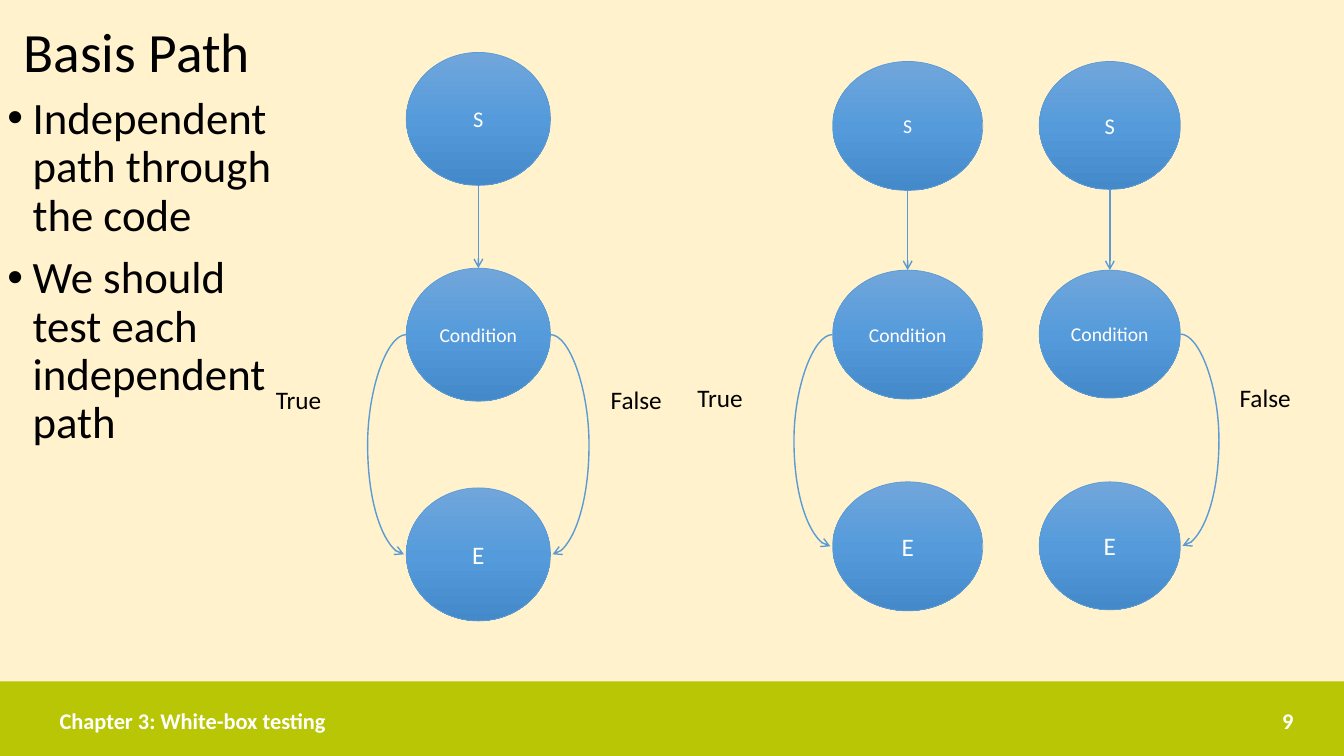
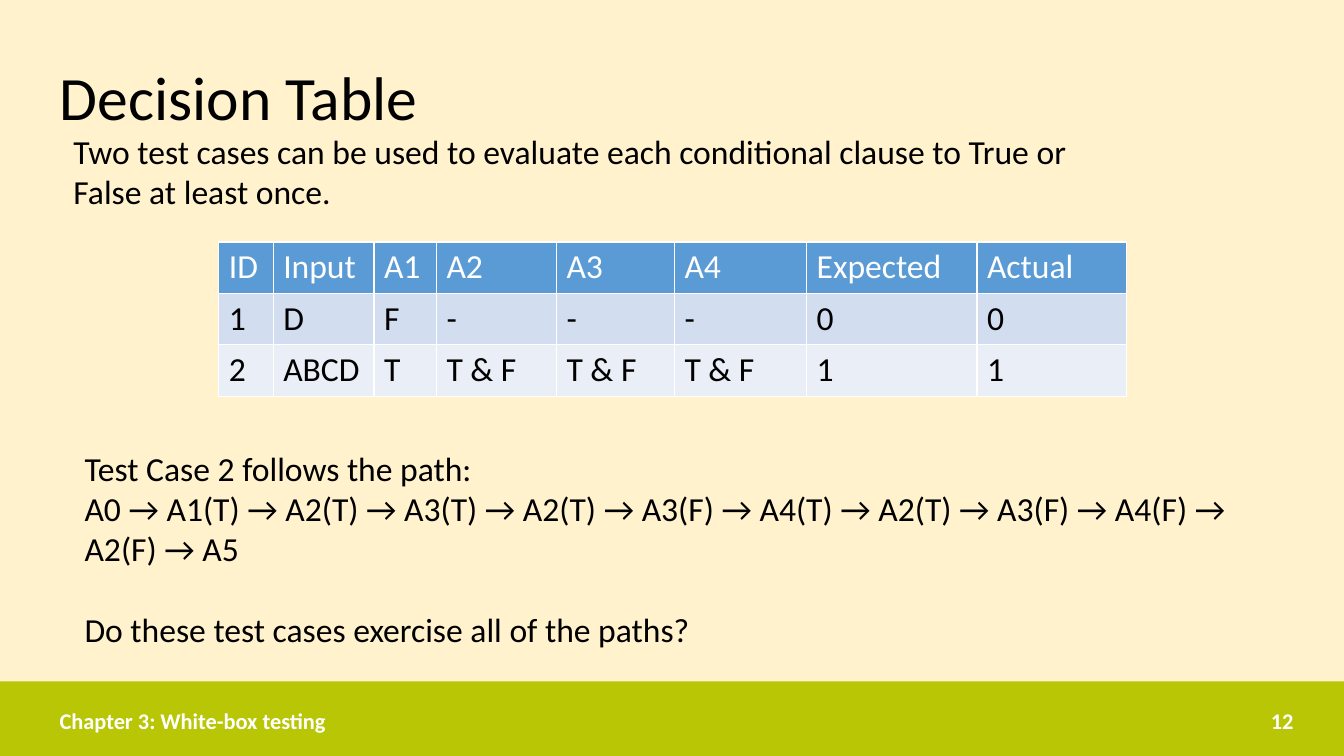
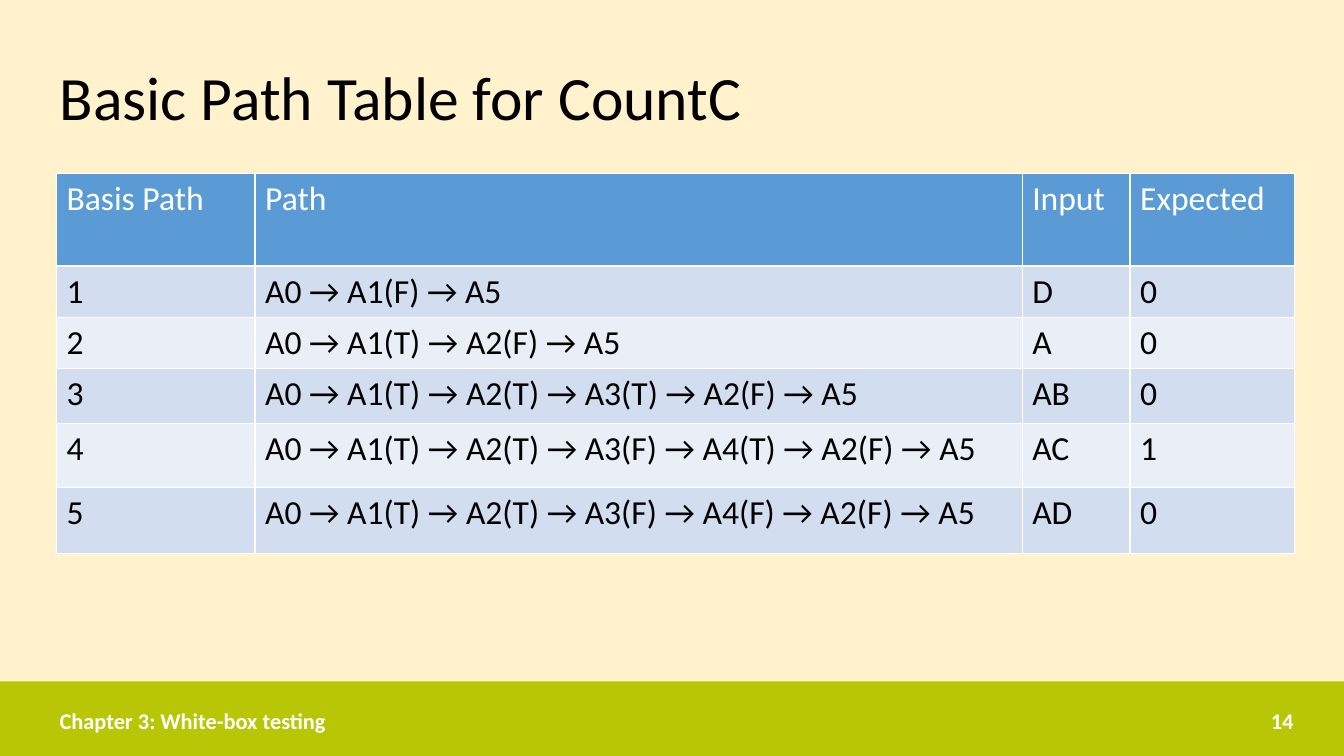
"""Builds three slides on white-box testing: flow graphs, a decision table and a path table."""
import copy
from dataclasses import dataclass
from typing import Any, Optional

import lxml.etree as etree
import pptx
import pptx.dml.color
import pptx.enum.shapes
import pptx.enum.text
import pptx.oxml.ns
import pptx.util

WIDE = pptx.util.Inches(13.333)
HIGH = pptx.util.Inches(7.5)
FONT = "Calibri"
HUES = {
    "page": "FFF2CC", "band": "B8C605", "text": "000000", "white": "FFFFFF",
    "line": "5B9BD5", "head": "5B9BD5", "odd": "D2DEEF", "even": "EAEFF7",
    "light": "71A6DB", "mid": "559BDB", "deep": "448ACA",
}
FADE = ((0, "light"), (0.5, "mid"), (1, "deep"))
LEFT = pptx.enum.text.PP_ALIGN.LEFT
MID = pptx.enum.text.PP_ALIGN.CENTER
RIGHT = pptx.enum.text.PP_ALIGN.RIGHT
CENTRE = pptx.enum.text.MSO_ANCHOR.MIDDLE
SHAPES = pptx.enum.shapes.MSO_SHAPE
LINKS = pptx.enum.shapes.MSO_CONNECTOR


@dataclass(frozen=True)
class Box:
    """A place in percent of the slide's width and height."""
    left: float
    top: float
    width: float
    height: float

    def spans(self) -> tuple[int, int, int, int]:
        """Give the place in slide units."""
        return across(self.left), down(self.top), across(self.width), down(self.height)


@dataclass(frozen=True)
class Flow:
    """One flow graph: a column of three nodes and its branches."""
    left: float
    width: float
    height: float
    tops: tuple[float, float, float]
    start: int
    label: float
    true: Optional[float] = None
    false: Optional[float] = None


@dataclass(frozen=True)
class Grid:
    """A table with its column widths and row heights in percent."""
    left: float
    top: float
    cols: tuple[float, ...]
    rows: tuple[float, ...]
    cells: tuple[tuple[str, ...], ...]


TITLE = Box(3.7, 3.6, 93.2, 19.33)
FLOWS = (
    Flow(30.23, 10.73, 17.6, (6.93, 35.47, 64.53), 16, 50.13, 19.8, 44.7),
    Flow(61.95, 11.17, 17.07, (8.13, 35.73, 63.73), 14, 49.87, true=51.15),
    Flow(77.33, 10.5, 16.93, (8.13, 35.73, 63.73), 16, 49.87, false=91.5),
)
CASES = Grid(
    16.28, 32, (4.05, 7.5, 4.65, 8.93, 8.78, 9.83, 12.68, 11.1), (6.8,) * 3,
    (("ID", "Input", "A1", "A2", "A3", "A4", "Expected", "Actual"),
     ("1", "D", "F", "-", "-", "-", "0", "0"),
     ("2", "ABCD", "T", "T & F", "T & F", "T & F", "1", "1")))
PATHS = Grid(
    4.2, 22.93, (14.78, 57.08, 8.03, 12.23), (12.27, 6.8, 6.8, 7.2, 8.53, 8.67),
    (("Basis Path", "Path", "Input", "Expected"),
     ("1", "A0 → A1(F) → A5", "D", "0"),
     ("2", "A0 → A1(T) → A2(F) → A5", "A", "0"),
     ("3", "A0 → A1(T) → A2(T) → A3(T) → A2(F) → A5", "AB", "0"),
     ("4", "A0 → A1(T) → A2(T) → A3(F) → A4(T) → A2(F) → A5", "AC", "1"),
     ("5", "A0 → A1(T) → A2(T) → A3(F) → A4(F) → A2(F) → A5", "AD", "0")))


def across(share: float) -> int:
    """Turn a percent of the width into a length."""
    return round(WIDE * share / 100)


def down(share: float) -> int:
    """Turn a percent of the height into a length."""
    return round(HIGH * share / 100)


def paint(name: str) -> pptx.dml.color.RGBColor:
    """Look up a colour."""
    return pptx.dml.color.RGBColor.from_string(HUES[name])


def tag(root: Any, kind: str, **marks: str) -> Any:
    """Add a drawing element under a root."""
    return etree.SubElement(root, pptx.oxml.ns.qn(kind), marks)


def style(para: Any, size: float, hue: str = "text", bold: bool = False,
          align: Any = LEFT) -> None:
    """Format a paragraph and its runs."""
    para.alignment = align
    for run in para.runs:
        run.font.name = FONT
        run.font.size = pptx.util.Pt(size)
        run.font.bold = bold
        run.font.color.rgb = paint(hue)


def write(slide: Any, box: Box, lines: tuple[str, ...], size: float, hue: str = "text",
          bold: bool = False, align: Any = LEFT) -> Any:
    """Add a text box and return its frame."""
    frame = slide.shapes.add_textbox(*box.spans()).text_frame
    frame.word_wrap = True
    frame.text = "\n".join(lines)
    for para in frame.paragraphs:
        style(para, size, hue, bold, align)
    return frame


def place(holder: Any, box: Box, lines: tuple[str, ...], size: float) -> Any:
    """Move and fill a placeholder and return its frame."""
    holder.left, holder.top, holder.width, holder.height = box.spans()
    frame = holder.text_frame
    frame.text = "\n".join(lines)
    frame.auto_size = pptx.enum.text.MSO_AUTO_SIZE.NONE
    for para in frame.paragraphs:
        para.line_spacing = 0.9
        para.space_before = pptx.util.Pt(0)
        style(para, size)
    return frame


def begin(deck: Any, layout: int, title: str, page: int, box: Box = TITLE,
          size: float = 44) -> Any:
    """Add a slide with its title, band and footer."""
    slide = deck.slides.add_slide(deck.slide_layouts[layout])
    place(slide.shapes.title, box, (title,), size).vertical_anchor = CENTRE
    band = slide.shapes.add_shape(SHAPES.RECTANGLE, *Box(0, 90.13, 100, 9.87).spans())
    band.shadow.inherit = False
    band.fill.solid()
    band.fill.fore_color.rgb = paint("band")
    band.line.fill.background()
    for left, width, text, align in ((3.7, 46.4, "Chapter 3: White-box testing", LEFT),
                                     (70.65, 26.33, str(page), RIGHT)):
        foot = write(slide, Box(left, 92.67, width, 5.33), (text,), 16, "white", True, align)
        foot.vertical_anchor = CENTRE
    return slide


def node(slide: Any, box: Box, text: str, size: float) -> None:
    """Draw a shaded round node."""
    oval = slide.shapes.add_shape(SHAPES.OVAL, *box.spans())
    oval.shadow.inherit = False
    oval.fill.gradient()
    oval.fill.gradient_angle = 270
    first = oval._element.spPr.find(".//" + pptx.oxml.ns.qn("a:gs"))
    first.addnext(copy.deepcopy(first))
    for stop, (spot, hue) in zip(oval.fill.gradient_stops, FADE):
        stop.position = spot
        stop.color.rgb = paint(hue)
    oval.line.color.rgb = paint("line")
    oval.line.width = pptx.util.Pt(0.5)
    frame = oval.text_frame
    frame.word_wrap = False
    frame.vertical_anchor = CENTRE
    frame.text = text
    style(frame.paragraphs[0], size, "white", align=MID)


def arrow(slide: Any, kind: Any, start: tuple[float, float], end: tuple[float, float],
          bend: int = 0) -> None:
    """Draw an arrow, curved outward when a bend is given."""
    link = slide.shapes.add_connector(kind, across(start[0]), down(start[1]),
                                      across(end[0]), down(end[1]))
    link.line.color.rgb = paint("line")
    link.line.width = pptx.util.Pt(1)
    props = link._element.spPr
    tag(props.find(pptx.oxml.ns.qn("a:ln")), "a:tailEnd", type="arrow")
    tag(props, "a:effectLst")
    if bend:
        shape = props.find(pptx.oxml.ns.qn("a:prstGeom"))
        guides = shape.find(pptx.oxml.ns.qn("a:avLst"))
        if guides is None:
            guides = tag(shape, "a:avLst")
        tag(guides, "a:gd", name="adj1", fmla=f"val {bend}")


def draw(slide: Any, flow: Flow) -> None:
    """Draw one flow graph."""
    for top, text, size in zip(flow.tops, ("S", "Condition", "E"), (flow.start, 14, 18)):
        node(slide, Box(flow.left, top, flow.width, flow.height), text, size)
    middle = flow.left + flow.width / 2
    arrow(slide, LINKS.STRAIGHT, (middle, flow.tops[0] + flow.height), (middle, flow.tops[1]))
    high, low = (top + flow.height / 2 for top in flow.tops[1:])
    for text, spot, side, way in (("True", flow.true, flow.left, -1),
                                  ("False", flow.false, flow.left + flow.width, 1)):
        if spot is not None:
            arrow(slide, LINKS.CURVE, (side, high), (side + way * 0.16, low), 1800000)
            write(slide, Box(spot, flow.label, 8.25, 7.8), (text,), 18)


def table(slide: Any, grid: Grid) -> None:
    """Draw a table with a header and striped rows."""
    box = Box(grid.left, grid.top, sum(grid.cols), sum(grid.rows))
    chart = slide.shapes.add_table(len(grid.rows), len(grid.cols), *box.spans()).table
    for col, width in zip(chart.columns, grid.cols):
        col.width = across(width)
    for row, height in zip(chart.rows, grid.rows):
        row.height = down(height)
    for i, texts in enumerate(grid.cells):
        back = "head" if i == 0 else ("even", "odd")[i % 2]
        for j, text in enumerate(texts):
            cell = chart.cell(i, j)
            props = cell._tc.get_or_add_tcPr()
            for side in "LRTB":
                edge = tag(props, "a:ln" + side, w=str(pptx.util.Pt(1)))
                tag(tag(edge, "a:solidFill"), "a:srgbClr", val=HUES["white"])
            cell.fill.solid()
            cell.fill.fore_color.rgb = paint(back)
            cell.text_frame.text = text
            style(cell.text_frame.paragraphs[0], 24, "text" if i else "white")


def main() -> None:
    """Build and save the deck."""
    deck = pptx.Presentation()
    deck.slide_width, deck.slide_height = WIDE, HIGH
    ground = deck.slide_master.background.fill
    ground.solid()
    ground.fore_color.rgb = paint("page")

    slide = begin(deck, 1, "Basis Path", 9, Box(1, 3.6, 96, 7.33), 39.6)
    points = place(slide.placeholders[1], Box(-0.2, 12, 21.15, 77.87),
                   ("Independent path through the code",
                    "We should test each independent path"), 32)
    indent = pptx.util.Inches(0.25)
    for para in points.paragraphs:
        props = para._p.get_or_add_pPr()
        props.set("marL", str(indent))
        props.set("indent", str(-indent))
    points.paragraphs[1].space_before = pptx.util.Pt(10)
    for flow in FLOWS:
        draw(slide, flow)

    slide = begin(deck, 5, "Decision Table", 12)
    table(slide, CASES)
    write(slide, Box(4.73, 16.67, 78.08, 12.13),
          ("Two test cases can be used to evaluate each conditional clause "
           "to True or False at least once.",), 24)
    notes = write(slide, Box(5.55, 58.53, 88.9, 28.27),
                  ("Test Case 2 follows the path:",
                   "A0 → A1(T) → A2(T) → A3(T) → A2(T) → A3(F) → A4(T) → A2(T) → A3(F) "
                   "→ A4(F) → A2(F) → A5",
                   "Do these test cases exercise all of the paths?"), 24)
    notes.paragraphs[2].space_before = pptx.util.Pt(29)

    slide = begin(deck, 5, "Basic Path Table for CountC", 14)
    table(slide, PATHS)
    deck.save("out.pptx")


if __name__ == "__main__":
    main()
